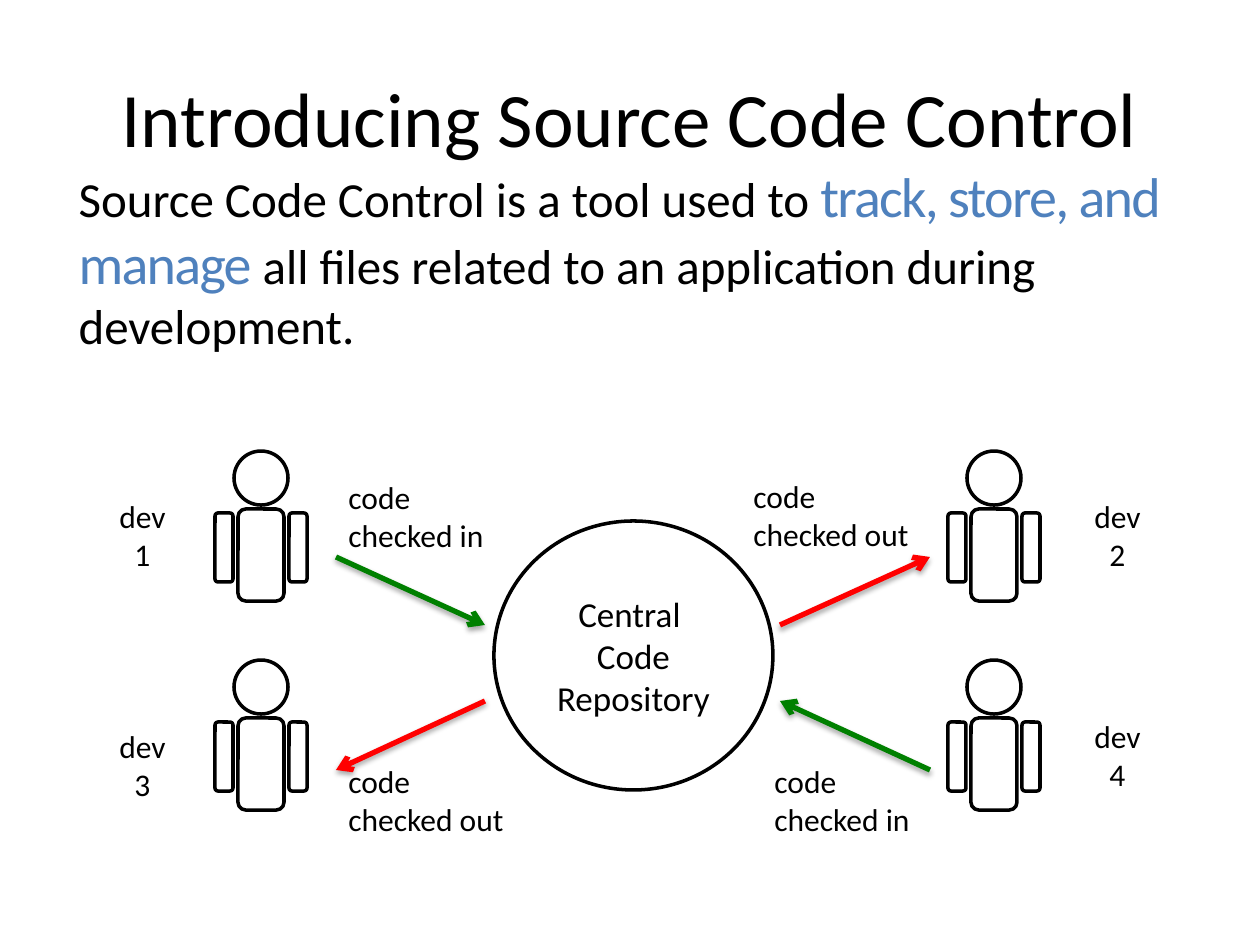
from lxml import etree
from pptx import Presentation
from pptx.dml.color import RGBColor
from pptx.enum.shapes import MSO_CONNECTOR, MSO_SHAPE
from pptx.enum.text import MSO_ANCHOR, MSO_AUTO_SIZE, PP_ALIGN
from pptx.oxml import parse_xml
from pptx.oxml.ns import nsdecls, qn
from pptx.util import Emu, Pt

PX_PER_INCH = 126
FONT = "Calibri"
BLACK = RGBColor(0x00, 0x00, 0x00)
WHITE = RGBColor(0xFF, 0xFF, 0xFF)
BLUE = RGBColor(0x4F, 0x81, 0xBD)
GREEN = RGBColor(0x00, 0x80, 0x00)
RED = RGBColor(0xFF, 0x00, 0x00)
OVAL = MSO_SHAPE.OVAL
ROUNDED = MSO_SHAPE.ROUNDED_RECTANGLE
STRAIGHT = MSO_CONNECTOR.STRAIGHT
LEFT, CENTER = PP_ALIGN.LEFT, PP_ALIGN.CENTER
MIDDLE = MSO_ANCHOR.MIDDLE
NO_FIT, GROW = MSO_AUTO_SIZE.NONE, MSO_AUTO_SIZE.SHAPE_TO_FIT_TEXT

PERSON_PARTS = [
    (ROUNDED, (23, 58, 46, 92)),
    (ROUNDED, (0, 62, 18, 69)),
    (ROUNDED, (74, 62, 18, 69)),
    (OVAL, (19, 0, 54, 54)),
]
PEOPLE = [(948, 451), (948, 660), (215, 451), (215, 660)]
CODE_LABELS = [
    ("code \nchecked in", (336, 472, 168, 85)),
    ("code \nchecked in", (762, 756, 168, 85)),
    ("code \nchecked out", (741, 471, 188, 85)),
    ("code \nchecked out", (336, 756, 188, 85)),
]
DEVELOPER_LABELS = [
    ("dev\n1", (106, 491, 73, 85)),
    ("dev\n3", (106, 721, 73, 85)),
    ("dev\n2", (1081, 491, 73, 85)),
    ("dev\n4", (1081, 711, 73, 85)),
]
ARROWS = [
    ((930, 770), (780, 701), GREEN),
    ((780, 625), (930, 557), RED),
    ((336, 557), (485, 625), GREEN),
    ((485, 701), (336, 770), RED),
]


def px(*lengths):
    """Turn pixel lengths into a list of EMU lengths."""
    return [Emu(round(length * 914400 / PX_PER_INCH)) for length in lengths]


def place(shape, box):
    """Move and size a shape to a pixel box."""
    shape.left, shape.top, shape.width, shape.height = px(*box)


def write(paragraph, text, size=18, color=BLACK, align=LEFT, spacing=None):
    """Append formatted text to a paragraph, with line breaks at newlines."""
    paragraph.alignment = align
    for index, line in enumerate(text.split("\n")):
        if index:
            paragraph.add_line_break()
        run = paragraph.add_run()
        run.text = line
        run.font.name = FONT
        run.font.size = Pt(size)
        run.font.color.rgb = color
        if spacing is not None:
            run.font._element.set("spc", str(spacing))


def add_outline(shapes, kind, box):
    """Add a white preset shape with a black outline."""
    shape = shapes.add_shape(kind, *px(*box))
    shape.shadow.inherit = False
    shape.fill.solid()
    shape.fill.fore_color.rgb = WHITE
    shape.line.color.rgb = BLACK
    shape.line.width = Pt(2)
    return shape


def add_title(slide, box):
    """Fill the title placeholder."""
    title = slide.shapes.title
    place(title, box)
    title.text_frame.auto_size = NO_FIT
    title.text_frame.vertical_anchor = MIDDLE
    write(title.text_frame.paragraphs[0], "Introducing Source Code Control",
          size=44, align=CENTER)


def add_definition(slide, box):
    """Fill the body placeholder with an unbulleted definition."""
    body = slide.placeholders[1]
    place(body, box)
    body.text_frame.auto_size = NO_FIT
    paragraph = body.text_frame.paragraphs[0]
    write(paragraph, "Source Code Control is a tool used to ", size=28)
    write(paragraph, "track, store, and manage", size=32, color=BLUE, spacing=-100)
    write(paragraph, " all files related to an application during development.", size=28)
    properties = paragraph._p.get_or_add_pPr()
    properties.set("marL", "0")
    properties.set("indent", "0")
    etree.SubElement(properties, qn("a:buNone"))


def add_repository(slide, box):
    """Add the central repository circle."""
    circle = add_outline(slide.shapes, OVAL, box)
    circle.text_frame.vertical_anchor = MIDDLE
    write(circle.text_frame.paragraphs[0], "Central \nCode Repository",
          size=20, align=CENTER)


def add_person(slide, left, top):
    """Add a grouped figure with its top left corner at the given point."""
    group = slide.shapes.add_group_shape()
    for kind, (x, y, width, height) in PERSON_PARTS:
        add_outline(group.shapes, kind, (left + x, top + y, width, height))


def add_label(slide, text, box, align=LEFT):
    """Add an unwrapped text label."""
    label = slide.shapes.add_textbox(*px(*box))
    label.text_frame.word_wrap = False
    label.text_frame.auto_size = GROW
    write(label.text_frame.paragraphs[0], text, align=align)


def add_arrow(slide, start, end, color):
    """Add a shadowed arrow between two points."""
    arrow = slide.shapes.add_connector(STRAIGHT, *px(*start, *end))
    arrow.line.color.rgb = color
    arrow.line.width = Pt(3)
    etree.SubElement(arrow.line._get_or_add_ln(), qn("a:tailEnd"), type="arrow")
    arrow._element.spPr.append(parse_xml(
        f'<a:effectLst {nsdecls("a")}>'
        '<a:outerShdw blurRad="40000" dist="23000" dir="5400000" rotWithShape="0">'
        '<a:srgbClr val="000000"><a:alpha val="35000"/></a:srgbClr>'
        '</a:outerShdw></a:effectLst>'))


def main():
    """Build and save the slide."""
    presentation = Presentation()
    presentation.slide_width, presentation.slide_height = px(1260, 945)
    slide = presentation.slides.add_slide(presentation.slide_layouts[1])
    add_title(slide, (63, 38, 1134, 157))
    add_definition(slide, (66, 155, 1142, 192))
    add_repository(slide, (494, 521, 279, 269))
    for left, top in PEOPLE:
        add_person(slide, left, top)
    for text, box in CODE_LABELS:
        add_label(slide, text, box)
    for text, box in DEVELOPER_LABELS:
        add_label(slide, text, box, align=CENTER)
    for start, end, color in ARROWS:
        add_arrow(slide, start, end, color)
    presentation.save("out.pptx")


if __name__ == "__main__":
    main()
